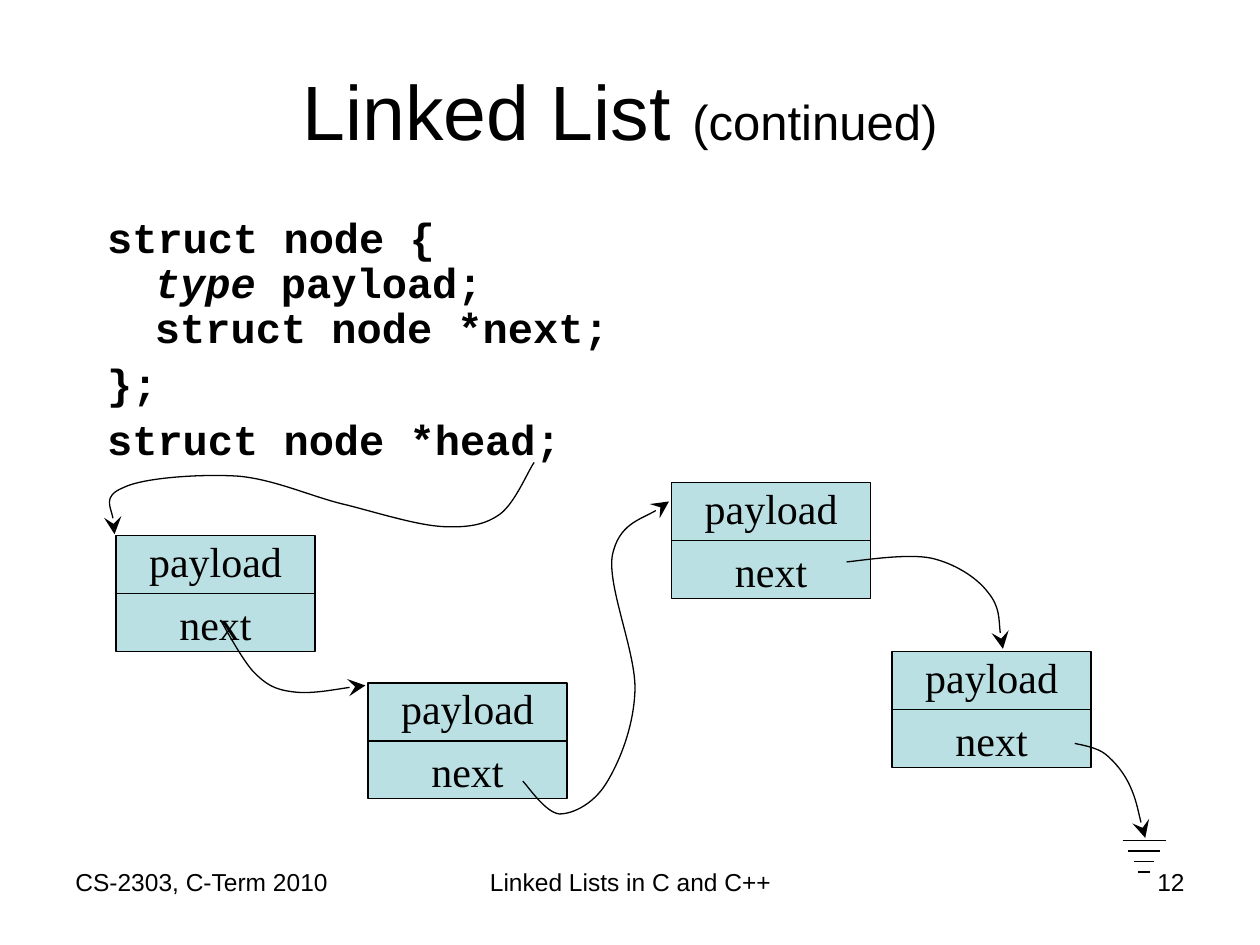
"""Build a slide that shows a linked list struct and its chain of nodes."""
from dataclasses import dataclass

from lxml.etree import SubElement
from pptx import Presentation
from pptx.dml.color import RGBColor
from pptx.enum.shapes import MSO_CONNECTOR, MSO_SHAPE
from pptx.enum.text import MSO_ANCHOR as Anchor, MSO_AUTO_SIZE as AutoSize, PP_ALIGN as Align
from pptx.oxml.ns import qn
from pptx.util import Inches, Pt

BLACK = RGBColor(0x00, 0x00, 0x00)
NODE_FILL = RGBColor(0xBB, 0xE0, 0xE3)
NODE_W, NODE_H, LABEL_H = 1.58, 0.92, 0.4

Point = tuple[float, float]


@dataclass
class Node:
    left: float
    top: float


@dataclass
class Footer:
    text: str
    left: float
    width: float
    align: Align


@dataclass
class Arrow:
    start: Point
    curves: list[tuple[Point, Point, Point]]


NODES = [Node(0.92, 4.25), Node(7.08, 5.17), Node(2.92, 5.42), Node(5.33, 3.83)]

FOOTERS = [
    Footer("Linked Lists in C and C++", 3.42, 3.17, Align.CENTER),
    Footer("CS-2303, C-Term 2010", 0.5, 2.33, Align.LEFT),
    Footer("12", 7.17, 2.33, Align.RIGHT),
]

ARROWS = [
    Arrow((4.15, 6.2), [
        ((4.19, 6.24), (4.33, 6.45), (4.44, 6.46)),
        ((4.55, 6.46), (4.71, 6.38), (4.81, 6.22)),
        ((4.91, 6.06), (5.03, 5.78), (5.04, 5.48)),
        ((5.05, 5.18), (4.82, 4.66), (4.86, 4.41)),
        ((4.91, 4.16), (5.22, 4.07), (5.31, 3.98)),
    ]),
    Arrow((1.75, 4.92), [
        ((1.79, 4.99), (1.92, 5.23), (2.01, 5.33)),
        ((2.11, 5.43), (2.17, 5.47), (2.32, 5.49)),
        ((2.47, 5.51), (2.78, 5.45), (2.9, 5.44)),
    ]),
    Arrow((8.53, 5.9), [
        ((8.57, 5.91), (8.71, 5.93), (8.78, 5.99)),
        ((8.85, 6.05), (8.92, 6.13), (8.97, 6.24)),
        ((9.02, 6.35), (9.06, 6.56), (9.09, 6.65)),
    ]),
    Arrow((4.24, 3.67), [
        ((4.19, 3.74), (4.09, 3.99), (3.97, 4.08)),
        ((3.86, 4.16), (3.73, 4.19), (3.52, 4.18)),
        ((3.32, 4.17), (3.03, 4.08), (2.76, 4.01)),
        ((2.49, 3.95), (2.2, 3.81), (1.9, 3.78)),
        ((1.61, 3.76), (1.14, 3.79), (0.98, 3.87)),
        ((0.81, 3.94), (0.93, 4.16), (0.91, 4.24)),
    ]),
    Arrow((6.72, 4.46), [
        ((6.83, 4.45), (7.2, 4.39), (7.39, 4.43)),
        ((7.57, 4.47), (7.75, 4.58), (7.84, 4.7)),
        ((7.94, 4.82), (7.93, 5.05), (7.96, 5.15)),
    ]),
]


def place(sp, left: float, top: float, width: float, height: float) -> None:
    sp.left, sp.top = Inches(left), Inches(top)
    sp.width, sp.height = Inches(width), Inches(height)


def add_run(p, text: str, font: str, size: int, bold=None, italic=None) -> None:
    r = p.add_run()
    r.text = text
    r.font.name, r.font.size = font, Pt(size)
    r.font.bold, r.font.italic = bold, italic
    r.font.color.rgb = BLACK


def style_line(line) -> None:
    line.color.rgb = BLACK
    line.width = Pt(0.75)


def add_line(shapes, left: float, right: float, y: float) -> None:
    line = shapes.add_connector(
        MSO_CONNECTOR.STRAIGHT, Inches(left), Inches(y), Inches(right), Inches(y))
    style_line(line.line)
    SubElement(line._element.spPr, qn("a:effectLst"))


def add_label(shapes, text: str, left: float, top: float) -> None:
    sp = shapes.add_textbox(Inches(left), Inches(top), Inches(NODE_W), Inches(LABEL_H))
    tf = sp.text_frame
    tf.word_wrap = True
    tf.vertical_anchor = Anchor.MIDDLE
    tf.margin_left = tf.margin_right = tf.margin_top = tf.margin_bottom = 0
    p = tf.paragraphs[0]
    p.alignment = Align.CENTER
    add_run(p, text, "Times New Roman", 24)


def add_node(s, node: Node) -> None:
    shapes = s.shapes.add_group_shape().shapes
    sp = shapes.add_shape(MSO_SHAPE.RECTANGLE, Inches(node.left), Inches(node.top),
                          Inches(NODE_W), Inches(NODE_H))
    sp.shadow.inherit = False
    sp.fill.solid()
    sp.fill.fore_color.rgb = NODE_FILL
    style_line(sp.line)
    add_line(shapes, node.left, node.left + NODE_W, node.top + NODE_H / 2)
    add_label(shapes, "payload", node.left, node.top)
    add_label(shapes, "next", node.left, node.top + 0.5)


def add_arrow(s, arrow: Arrow) -> None:
    x, y = arrow.start
    builder = s.shapes.build_freeform(Inches(x), Inches(y))
    builder.add_line_segments(
        [(Inches(x), Inches(y)) for curve in arrow.curves for x, y in curve], close=False)
    sp = builder.convert_to_shape()
    sp.shadow.inherit = False
    sp.fill.background()
    style_line(sp.line)
    ln = sp._element.spPr.find(qn("a:ln"))
    SubElement(ln, qn("a:tailEnd"), type="stealth", w="lg", len="lg")
    segments = list(sp._element.iter(qn("a:lnTo")))
    outline = segments[0].getparent()
    for i in range(0, len(segments), 3):
        bezier = SubElement(outline, qn("a:cubicBezTo"))
        for segment in segments[i:i + 3]:
            bezier.append(segment[0])
            outline.remove(segment)


def add_ground(s, center: float, top: float) -> None:
    shapes = s.shapes.add_group_shape().shapes
    for i, half in enumerate((0.17, 0.13, 0.08, 0.05)):
        add_line(shapes, center - half, center + half, top + i / 12)


def add_footer(s, footer: Footer) -> None:
    sp = s.shapes.add_textbox(Inches(footer.left), Inches(6.83), Inches(footer.width), Inches(0.52))
    sp.text_frame.word_wrap = True
    p = sp.text_frame.paragraphs[0]
    p.alignment = footer.align
    add_run(p, footer.text, "Arial", 14)


def fill_title(sp) -> None:
    place(sp, 0.67, 0.33, 8.5, 1.08)
    sp.text_frame.auto_size = AutoSize.NONE
    sp.text_frame.vertical_anchor = Anchor.MIDDLE
    p = sp.text_frame.paragraphs[0]
    p.alignment = Align.CENTER
    add_run(p, "Linked List ", "Arial", 44)
    add_run(p, "(continued)", "Arial", 28)


def add_code(p, text: str, italic: bool = False) -> None:
    add_run(p, text, "Courier New", 24, True, italic)


def fill_code(sp) -> None:
    place(sp, 0.75, 1.67, 8.5, 2.17)
    tf = sp.text_frame
    tf.auto_size = AutoSize.NONE
    struct, closing, head = tf.paragraphs[0], tf.add_paragraph(), tf.add_paragraph()
    for p in (struct, closing, head):
        p.line_spacing, p.space_before = 0.9, Pt(6)
        pPr = p._p.get_or_add_pPr()
        pPr.set("marL", str(Inches(0.38)))
        pPr.set("indent", str(-Inches(0.38)))
        SubElement(pPr, qn("a:buNone"))
    add_code(struct, "struct node {")
    struct.add_line_break()
    add_code(struct, "type", italic=True)
    add_code(struct, " payload;")
    struct.add_line_break()
    add_code(struct, "struct node *next;")
    add_code(closing, "};")
    add_code(head, "struct node *head;")


def main() -> None:
    prs = Presentation()
    prs.slide_width, prs.slide_height = Inches(10), Inches(7.5)
    s = prs.slides.add_slide(prs.slide_layouts[1])
    fill_title(s.shapes.title)
    fill_code(s.placeholders[1])
    for footer in FOOTERS:
        add_footer(s, footer)
    for node in NODES:
        add_node(s, node)
    add_ground(s, 9.08, 6.67)
    for arrow in ARROWS:
        add_arrow(s, arrow)
    prs.save("out.pptx")


if __name__ == "__main__":
    main()
